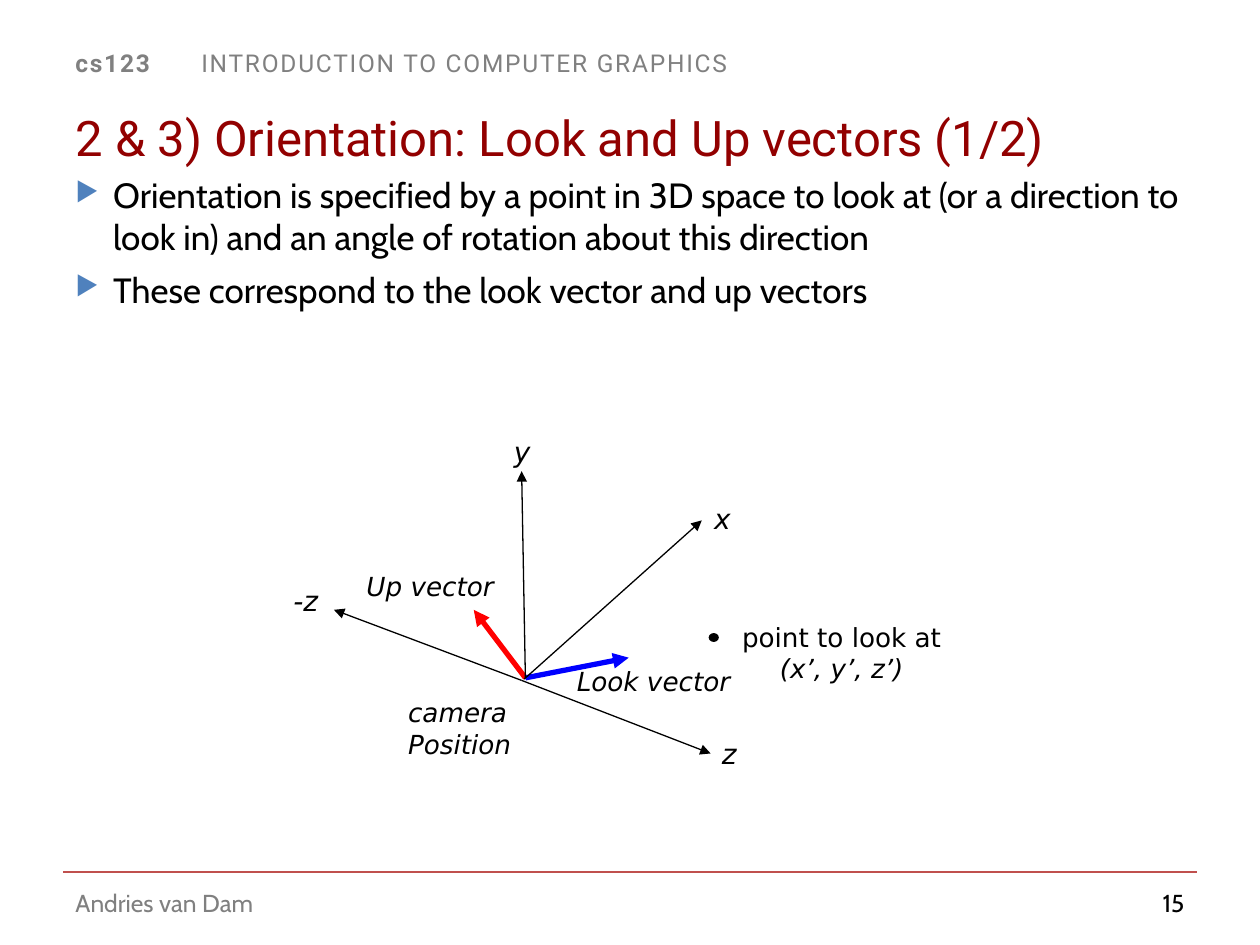
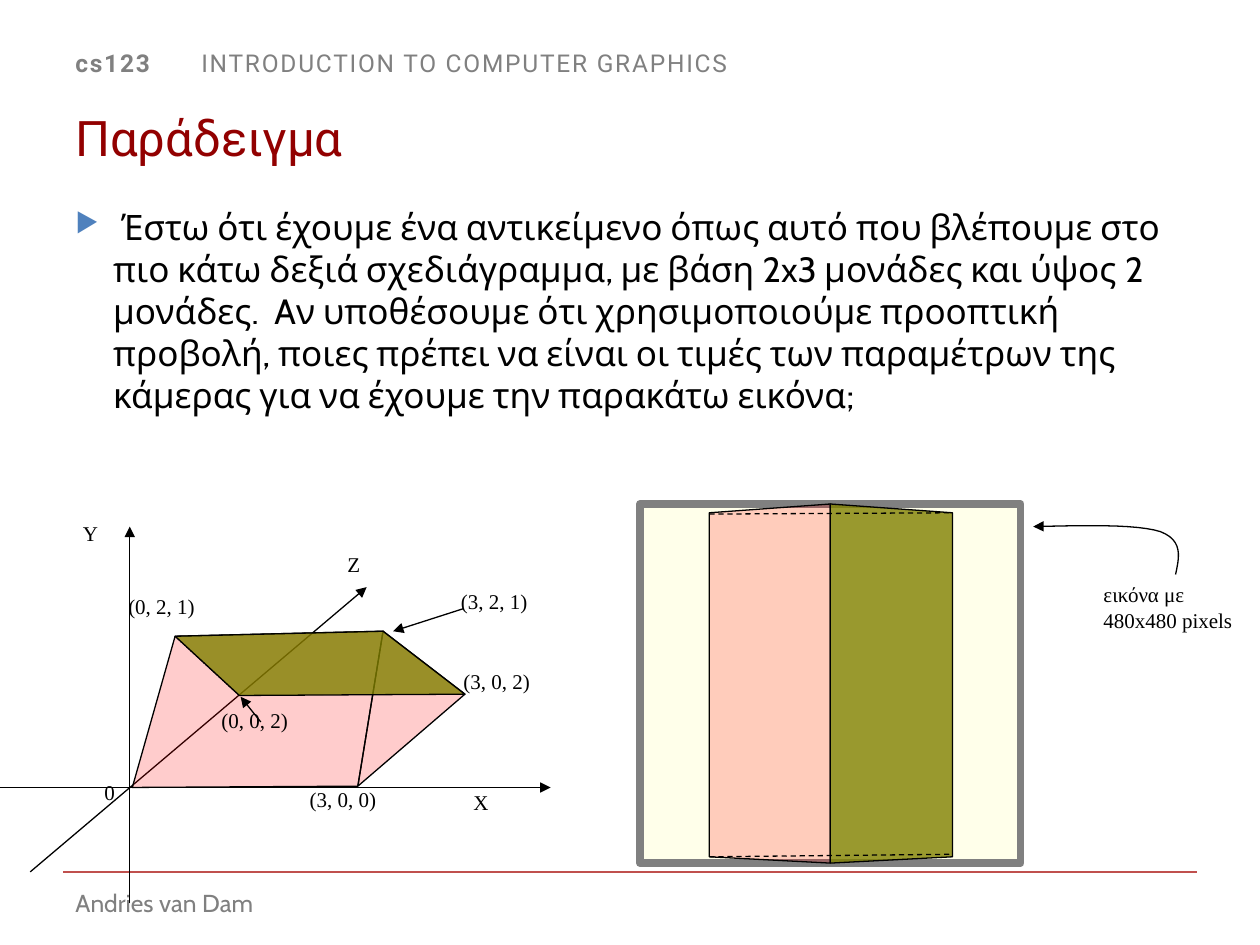
import dataclasses
import typing

import lxml.etree
import pptx
import pptx.dml.color
import pptx.enum.dml
import pptx.enum.shapes
import pptx.enum.text
import pptx.oxml.ns
import pptx.util

Inches = pptx.util.Inches
Pt = pptx.util.Pt
Align = pptx.enum.text.PP_ALIGN
Anchor = pptx.enum.text.MSO_ANCHOR
Dash = pptx.enum.dml.MSO_LINE
Preset = pptx.enum.shapes.MSO_SHAPE

COLORS = {
    "black": "000000", "white": "FFFFFF", "gray": "808080", "title": "920000",
    "rule": "C0504D", "bullet": "4F81BD", "red": "FF0000", "blue": "0000FF",
    "olive": "808000", "yellow": "FFFF99",
}
Point = tuple[float, float]
Box = tuple[float, float, float, float]


@dataclasses.dataclass(frozen=True)
class Style:
    font: str
    size: float
    color: str = "black"
    bold: bool = False
    italic: bool = False
    spacing: int = 0


@dataclasses.dataclass(frozen=True)
class Label:
    box: Box
    paragraphs: list[list[tuple[str, Style]]]
    align: Align = Align.LEFT
    anchor: Anchor = Anchor.TOP
    bulleted: bool = False


@dataclasses.dataclass(frozen=True)
class Line:
    start: Point
    end: Point
    color: str = "black"
    width: float = 0.75
    arrow: bool = True
    dash: typing.Optional[Dash] = None


@dataclasses.dataclass(frozen=True)
class Outline:
    points: list[Point]
    fill: typing.Optional[str] = None
    opacity: int = 100
    closed: bool = True
    arrow: bool = False
    dash: typing.Optional[Dash] = None


HEADER = Style("Roboto", 14, "gray", spacing=100)
TITLE = Style("Roboto", 28, "title")
BODY = Style("Cabin", 20)
FOOTER = Style("Cabin", 14, "gray")
PAGE_NUMBER = Style("Cabin", 14)
NOTE = Style("DejaVu Sans", 15)
NOTE_ITALIC = dataclasses.replace(NOTE, italic=True)
AXIS = dataclasses.replace(NOTE_ITALIC, size=16)
COORDINATE = Style("Times New Roman", 12)


def rgb(name: str) -> pptx.dml.color.RGBColor:
    return pptx.dml.color.RGBColor.from_string(COLORS[name])


def add_xml(parent, tag: str, **attributes: str):
    return lxml.etree.SubElement(parent, pptx.oxml.ns.qn(tag), attributes)


def fill_shape(shape, color: typing.Optional[str], opacity: int = 100) -> None:
    if color is None:
        shape.fill.background()
        return
    shape.fill.solid()
    shape.fill.fore_color.rgb = rgb(color)
    if opacity < 100:
        color_element = shape.fill._xPr.find(".//" + pptx.oxml.ns.qn("a:srgbClr"))
        add_xml(color_element, "a:alpha", val=str(opacity * 1000))


def style_line(line, color: str, width: float, arrow: bool = False,
               dash: typing.Optional[Dash] = None) -> None:
    line.color.rgb = rgb(color)
    line.width = Pt(width)
    if dash is not None:
        line.dash_style = dash
    if arrow:
        add_xml(line._get_or_add_ln(), "a:tailEnd", type="triangle")


def add_bullet(paragraph) -> None:
    properties = paragraph._p.get_or_add_pPr()
    properties.set("marL", str(Inches(0.3)))
    properties.set("indent", str(-Inches(0.3)))
    paragraph.space_before = Pt(6)
    add_xml(add_xml(properties, "a:buClr"), "a:srgbClr", val=COLORS["bullet"])
    add_xml(properties, "a:buSzPct", val="76000")
    add_xml(properties, "a:buChar", char="▶")


def write_text(shape, label: Label) -> None:
    frame = shape.text_frame
    frame.word_wrap = True
    frame.vertical_anchor = label.anchor
    for index, runs in enumerate(label.paragraphs):
        paragraph = frame.add_paragraph() if index else frame.paragraphs[0]
        paragraph.alignment = label.align
        if label.bulleted:
            add_bullet(paragraph)
        for text, style in runs:
            run = paragraph.add_run()
            run.text = text
            run.font.name = style.font
            run.font.size = Pt(style.size)
            run.font.color.rgb = rgb(style.color)
            run.font.bold = style.bold
            run.font.italic = style.italic
            if style.spacing:
                run._r.get_or_add_rPr().set("spc", str(style.spacing))


def draw_label(slide, label: Label) -> None:
    write_text(slide.shapes.add_textbox(*map(Inches, label.box)), label)


def draw_shape(slide, preset: Preset, box: Box, fill: str, opacity: int = 100,
               border: typing.Optional[str] = None, width: float = 0.75):
    shape = slide.shapes.add_shape(preset, *map(Inches, box))
    shape.shadow.inherit = False
    fill_shape(shape, fill, opacity)
    if border is None:
        shape.line.fill.background()
    else:
        style_line(shape.line, border, width)
    return shape


def draw_line(slide, line: Line) -> None:
    connector = slide.shapes.add_connector(
        pptx.enum.shapes.MSO_CONNECTOR.STRAIGHT, *map(Inches, line.start + line.end))
    style_line(connector.line, line.color, line.width, line.arrow, line.dash)
    add_xml(connector._element.spPr, "a:effectLst")


def draw_outline(slide, outline: Outline) -> None:
    points = [(Inches(x), Inches(y)) for x, y in outline.points]
    builder = slide.shapes.build_freeform(*points[0], scale=1.0)
    builder.add_line_segments(points[1:], close=outline.closed)
    shape = builder.convert_to_shape()
    shape.shadow.inherit = False
    fill_shape(shape, outline.fill, outline.opacity)
    style_line(shape.line, "black", 0.75, outline.arrow, outline.dash)


def bezier(p0: Point, p1: Point, p2: Point, p3: Point, steps: int = 12) -> list[Point]:
    """Return the points of a cubic curve, without its first one."""
    def at(t: float, axis: int) -> float:
        u = 1 - t
        return (u**3 * p0[axis] + 3 * u * u * t * p1[axis]
                + 3 * u * t * t * p2[axis] + t**3 * p3[axis])
    return [(at(i / steps, 0), at(i / steps, 1)) for i in range(1, steps + 1)]


def add_course_slide(presentation, title: str, bullets: list[str], body_box: Box):
    slide = presentation.slides.add_slide(presentation.slide_layouts[6])
    header_box = (0.5, 0.33, 9, 0.33)
    header = draw_shape(slide, Preset.RECTANGLE, header_box, "white")
    write_text(header, Label(header_box, [[
        ("cs123 \t", dataclasses.replace(HEADER, bold=True)),
        ("INTRODUCTION TO COMPUTER GRAPHICS", HEADER)]]))
    draw_label(slide, Label((0.5, 7, 1.92, 0.34), [[("Andries van Dam", FOOTER)]]))
    draw_line(slide, Line((0.5, 6.92), (9.5, 6.92), "rule", arrow=False))
    draw_label(slide, Label((0.5, 0.75, 9, 0.67), [[(title, TITLE)]],
                            anchor=Anchor.MIDDLE))
    draw_label(slide, Label(body_box, [[(text, BODY)] for text in bullets],
                            bulleted=True))
    return slide


def build_orientation_slide(presentation) -> None:
    slide = add_course_slide(
        presentation, "2 & 3) Orientation: Look and Up vectors (1/2)",
        ["Orientation is specified by a point in 3D space to look at (or a direction "
         "to look in) and an angle of rotation about this direction",
         "These correspond to the look vector and up vectors"],
        (0.5, 1.33, 9, 1.83))
    draw_label(slide, Label((8.17, 7, 1.33, 0.35), [[("15", PAGE_NUMBER)]], Align.RIGHT))

    camera, z_origin = (4.17, 5.38), (4.14, 5.4)
    for line in (
        Line(camera, (3.76, 4.84), "red", 3),
        Line(camera, (4.99, 5.22), "blue", 3),
        Line((4.16, 5.39), (5.57, 4.13)),
        Line(camera, (4.14, 3.74)),
        Line(z_origin, (5.64, 5.98)),
        Line(z_origin, (2.65, 4.84)),
    ):
        draw_line(slide, line)
    draw_shape(slide, Preset.OVAL, (5.63, 5.03, 0.07, 0.06), "black", border="black")

    for text, box, style in (
        ("Up vector", (2.81, 4.48, 1.33, 0.35), NOTE_ITALIC),
        ("Look vector", (4.48, 5.23, 1.63, 0.35), NOTE_ITALIC),
        ("camera Position", (3.14, 5.48, 1.08, 0.6), NOTE_ITALIC),
        ("-z", (2.23, 4.58, 0.49, 0.37), AXIS),
        ("z", (5.63, 5.8, 0.32, 0.37), AXIS),
        ("y", (3.98, 3.4, 0.32, 0.37), AXIS),
        ("x", (5.57, 3.93, 0.32, 0.37), AXIS),
    ):
        draw_label(slide, Label(box, [[(text, style)]]))
    draw_label(slide, Label((5.72, 4.88, 1.92, 0.6), [[
        ("point to look at ", NOTE), ("(x’, y’, z’)", NOTE_ITALIC)]], Align.CENTER))


def draw_prism(slide) -> None:
    for start, end in (((0, 6.25), (4.37, 6.25)),
                       ((1.03, 7.17), (1.03, 4.18)),
                       ((0.24, 6.92), (2.91, 4.66))):
        draw_line(slide, Line(start, end))

    origin, right = (1.05, 6.25), (2.84, 6.24)
    top_left, top_right = (1.39, 5.05), (3.04, 5.01)
    back_left, back_right = (1.9, 5.52), (3.69, 5.51)
    for outline in (
        Outline([origin, top_left, top_right, right], "red", 20),
        Outline([right, top_right, back_right], "red", 20),
        Outline([top_left, back_left], closed=False, dash=Dash.ROUND_DOT),
        Outline([back_left, top_left, top_right, back_right], "olive", 80),
    ):
        draw_outline(slide, outline)

    for text, left, top in (
        ("X", 3.66, 6.22), ("Y", 0.56, 4.08), ("Ζ", 2.66, 4.33), ("0", 0.73, 6.14),
        ("(3, 0, 2)", 3.58, 5.26), ("(3, 2, 1)", 3.56, 4.62), ("(0, 2, 1)", 0.92, 4.66),
        ("(3, 0, 0)", 2.36, 6.19), ("(0, 0, 2)", 1.66, 5.57),
    ):
        width = 1.34 if len(text) > 1 else 0.5
        draw_label(slide, Label((left, top, width, 0.4), [[(text, COORDINATE)]]))
    draw_line(slide, Line((3.68, 4.83), (3.12, 5.01)))
    draw_line(slide, Line((2.07, 5.73), (1.91, 5.53)))


def draw_rendered_view(slide) -> None:
    draw_shape(slide, Preset.RECTANGLE, (5.08, 4, 3.02, 2.85), "yellow", 20, "gray", 4.5)
    draw_label(slide, Label((8.66, 4.57, 1.34, 0.63), [
        [("εικόνα με", COORDINATE)], [("480x480 pixels", COORDINATE)]]))
    start, bend, end = (9.33, 4.56), (9.21, 4.22), (8.2, 4.18)
    pointer = [start, *bezier(start, (9.36, 4.42), (9.39, 4.29), bend),
               *bezier(bend, (9.02, 4.16), (8.61, 4.17), end)]
    draw_outline(slide, Outline(pointer, closed=False, arrow=True))

    middle, left, right = 6.59, 5.63, 7.56
    for side, color, opacity in ((left, "red", 20), (right, "olive", 80)):
        draw_outline(slide, Outline(
            [(middle, 6.85), (side, 6.8), (side, 4.07), (middle, 4)], color, opacity))
    for left_y, right_y in ((6.8, 6.78), (4.08, 4.07)):
        draw_line(slide, Line((left, left_y), (right, right_y), arrow=False,
                              dash=Dash.DASH))


def build_example_slide(presentation) -> None:
    slide = add_course_slide(
        presentation, "Παράδειγμα",
        [" Έστω ότι έχουμε ένα αντικείμενο όπως αυτό που βλέπουμε στο πιο κάτω δεξιά "
         "σχεδιάγραμμα, με βάση 2x3 μονάδες και ύψος 2 μονάδες.  Aν υποθέσουμε ότι "
         "χρησιμοποιούμε προοπτική προβολή, ποιες πρέπει να είναι οι τιμές των "
         "παραμέτρων της κάμερας για να έχουμε την παρακάτω εικόνα;"],
        (0.5, 1.58, 9, 5.25))
    draw_prism(slide)
    draw_rendered_view(slide)


def main() -> None:
    presentation = pptx.Presentation()
    presentation.slide_width = Inches(10)
    presentation.slide_height = Inches(7.5)
    build_orientation_slide(presentation)
    build_example_slide(presentation)
    presentation.save("out.pptx")


if __name__ == "__main__":
    main()
